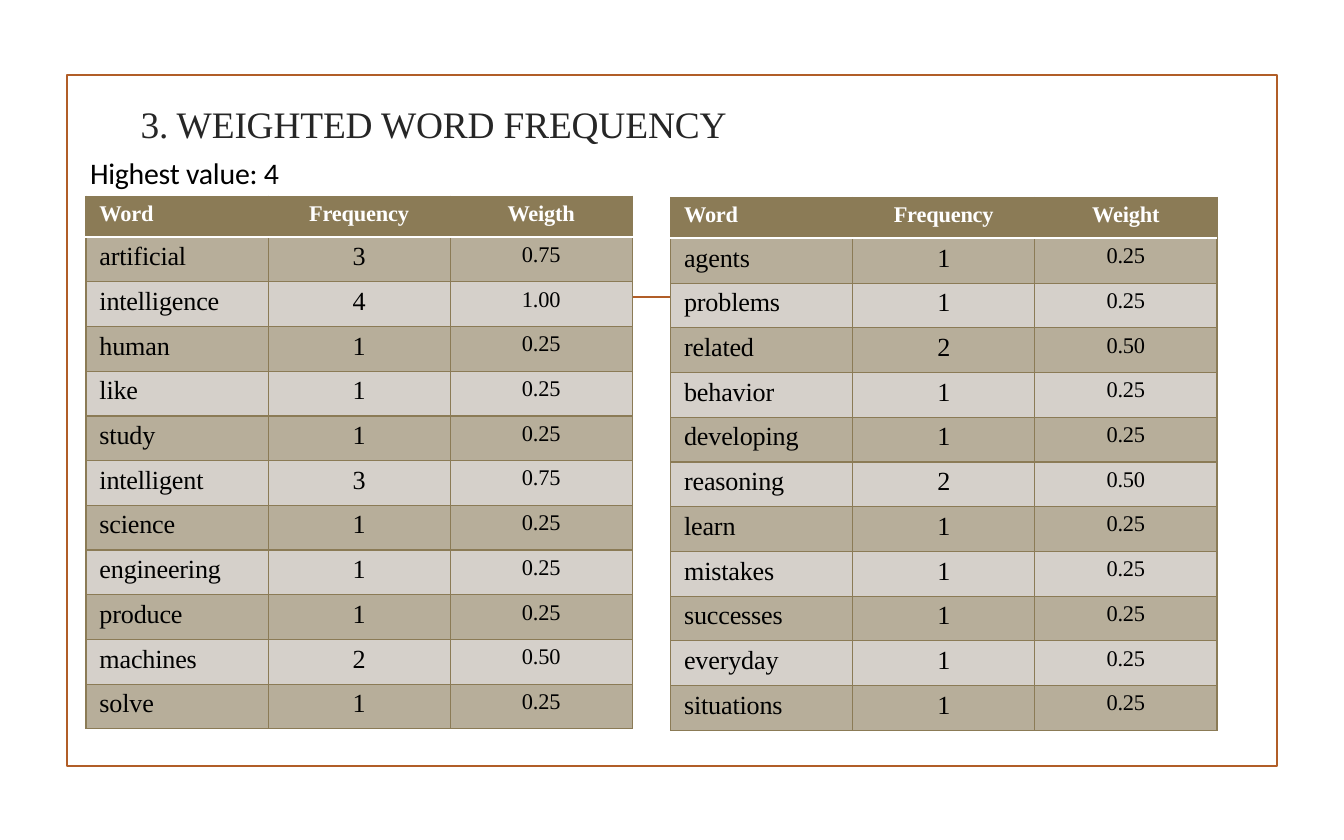
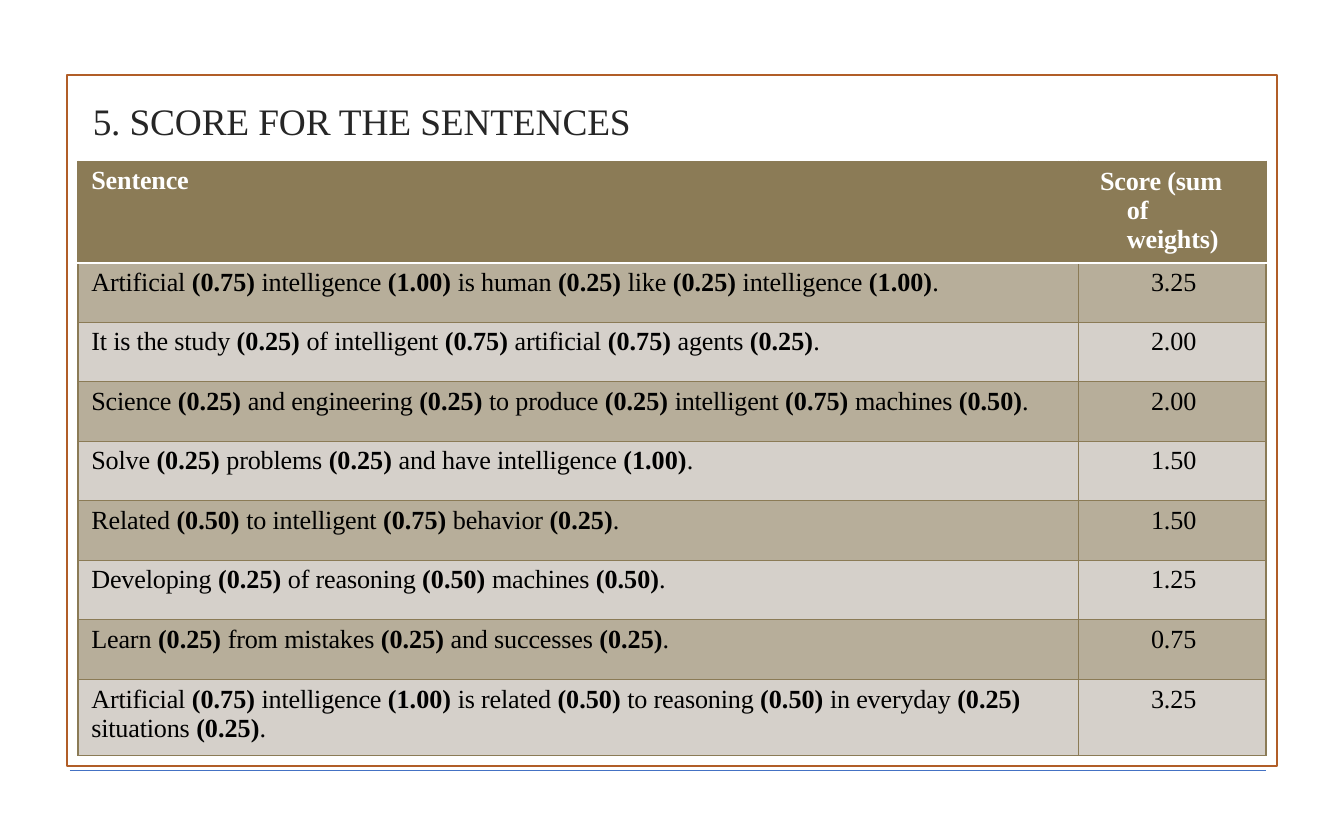
from dataclasses import dataclass
from typing import Any

import lxml.etree
import pptx
import pptx.dml.color
import pptx.enum.shapes
import pptx.enum.text
import pptx.oxml.ns
import pptx.util

ALIGN = pptx.enum.text.PP_ALIGN
ANCHOR = pptx.enum.text.MSO_ANCHOR


# Theme and grid
@dataclass(frozen=True)
class Theme:
    accent: str = "B15E28"
    header: str = "8B7B56"
    dark_band: str = "B7AE9A"
    light_band: str = "D5D0CA"
    white: str = "FFFFFF"
    black: str = "000000"
    title: str = "262626"
    rule: str = "4472C4"
    serif: str = "Times New Roman"
    sans: str = "Calibri"
    title_size: int = 20
    note_size: int = 16
    body_size: int = 14
    small_size: int = 12
    tracking: int = -10
    frame_line: float = 1.25
    cell_line: float = 0.75
    thin_line: float = 0.5


THEME = Theme()
SLIDE_WIDTH = pptx.util.Inches(10)
SLIDE_HEIGHT = pptx.util.Inches(6.25)
GRID_COLUMNS = 100  # square cells, so the slide is 62.5 rows high


def grid(cells: float) -> int:
    """Length of a number of grid cells."""
    return round(SLIDE_WIDTH * cells / GRID_COLUMNS)


# Descriptions of the repeated elements
@dataclass(frozen=True)
class Box:
    left: float
    top: float
    width: float
    height: float

    def lengths(self) -> list[int]:
        return [grid(n) for n in (self.left, self.top, self.width, self.height)]


@dataclass(frozen=True)
class TextStyle:
    size: int
    color: str = THEME.black
    font: str = THEME.serif
    bold: bool = False
    align: Any = ALIGN.LEFT
    margin: float = 0
    hanging: float = 0
    before: float = 2.6
    line: float = 1.0
    right_inset: float = 0


@dataclass(frozen=True)
class Column:
    width: float
    heading: str
    heading_style: TextStyle
    body_style: TextStyle


@dataclass(frozen=True)
class Table:
    left: float
    top: float
    columns: list[Column]
    row_heights: list[float]
    rows: list[tuple[str, str]]


# Drawing functions
def set_attributes(target: Any, values: dict[str, Any]) -> None:
    for name, value in values.items():
        setattr(target, name, value)


def rgb(color: str) -> pptx.dml.color.RGBColor:
    return pptx.dml.color.RGBColor.from_string(color)


def write_text(frame: Any, text: str, style: TextStyle) -> None:
    """Fill a text frame; asterisks enclose bold parts, newlines part paragraphs."""
    for number, line in enumerate(text.split("\n")):
        paragraph = frame.add_paragraph() if number else frame.paragraphs[0]
        set_attributes(paragraph, {
            "alignment": style.align,
            "line_spacing": style.line,
            "space_before": pptx.util.Pt(0.2 if number else style.before),
        })
        properties = paragraph._p.get_or_add_pPr()
        properties.set("marL", str(grid(style.margin)))
        properties.set("indent", str(grid(style.hanging)))
        for position, part in enumerate(line.split("*")):
            if not part:
                continue
            emphasis = position % 2 == 1
            run = paragraph.add_run()
            run.text = part
            set_attributes(run.font, {
                "name": style.font,
                "size": pptx.util.Pt(style.size),
                "bold": style.bold or emphasis,
            })
            run.font.color.rgb = rgb(style.color)
            run._r.get_or_add_rPr().set("spc", "0" if emphasis else str(THEME.tracking))


def add_text(slide: Any, box: Box, text: str, style: TextStyle, anchor: Any = ANCHOR.TOP) -> None:
    frame = slide.shapes.add_textbox(*box.lengths()).text_frame
    set_attributes(frame, {
        "word_wrap": True, "vertical_anchor": anchor, "margin_left": 0,
        "margin_top": grid(0.1), "margin_right": 0, "margin_bottom": 0,
    })
    write_text(frame, text, style)


def add_line(slide: Any, left: float, right: float, top: float, color: str, weight: float) -> None:
    connector = slide.shapes.add_connector(
        pptx.enum.shapes.MSO_CONNECTOR.STRAIGHT,
        grid(left), grid(top), grid(right), grid(top))
    connector.line.color.rgb = rgb(color)
    connector.line.width = pptx.util.Pt(weight)
    lxml.etree.SubElement(connector._element.spPr, pptx.oxml.ns.qn("a:effectLst"))


def set_borders(cell: Any, white_sides: str) -> None:
    """Outline a cell; the sides named in white_sides join header and body."""
    properties = cell._tc.get_or_add_tcPr()
    for position, side in enumerate("LRTB"):
        white = side in white_sides
        weight = THEME.frame_line if white else THEME.cell_line
        border = lxml.etree.Element(pptx.oxml.ns.qn(f"a:ln{side}"), w=str(pptx.util.Pt(weight)))
        fill = lxml.etree.SubElement(border, pptx.oxml.ns.qn("a:solidFill"))
        lxml.etree.SubElement(fill, pptx.oxml.ns.qn("a:srgbClr"),
                              val=THEME.white if white else THEME.header)
        properties.insert(position, border)


def add_cell(cell: Any, text: str, style: TextStyle, row: int) -> None:
    set_attributes(cell, {
        "margin_left": 0, "margin_top": grid(0.4),
        "margin_right": grid(style.right_inset), "margin_bottom": 0,
    })
    band = THEME.dark_band if row % 2 else THEME.light_band
    cell.fill.solid()
    cell.fill.fore_color.rgb = rgb(band if row else THEME.header)
    set_borders(cell, {0: "B", 1: "T"}.get(row, ""))
    write_text(cell.text_frame, text, style)


def add_table(slide: Any, table: Table) -> None:
    box = Box(table.left, table.top, sum(c.width for c in table.columns), sum(table.row_heights))
    grid_table = slide.shapes.add_table(
        len(table.row_heights), len(table.columns), *box.lengths()).table
    set_attributes(grid_table, {"first_row": False, "horz_banding": False})
    for row, height in enumerate(table.row_heights):
        grid_table.rows[row].height = grid(height)
    for index, column in enumerate(table.columns):
        grid_table.columns[index].width = grid(column.width)
        add_cell(grid_table.cell(0, index), column.heading, column.heading_style, 0)
        for row, values in enumerate(table.rows, start=1):
            add_cell(grid_table.cell(row, index), values[index], column.body_style, row)


def add_framed_slide(presentation: Any, title: str, title_box: Box) -> Any:
    """Start a slide with the shared frame, line and title."""
    slide = presentation.slides.add_slide(presentation.slide_layouts[6])
    frame = slide.shapes.add_shape(
        pptx.enum.shapes.MSO_SHAPE.RECTANGLE, *Box(5, 5.6, 90, 51.4).lengths())
    frame.shadow.inherit = False
    frame.fill.background()
    frame.line.color.rgb = rgb(THEME.accent)
    frame.line.width = pptx.util.Pt(THEME.frame_line)
    add_line(slide, 11.5, 88.6, 22.1, THEME.accent, THEME.frame_line)
    style = TextStyle(THEME.title_size, THEME.title, align=ALIGN.CENTER, margin=0.1, before=1)
    add_text(slide, title_box, title, style, ANCHOR.MIDDLE)
    return slide


# Slide 1: weighted word frequency
HIGHEST_FREQUENCY = 4
LEFT_WORDS = {
    "artificial": 3, "intelligence": 4, "human": 1, "like": 1, "study": 1, "intelligent": 3,
    "science": 1, "engineering": 1, "produce": 1, "machines": 2, "solve": 1,
}
RIGHT_WORDS = {
    "agents": 1, "problems": 1, "related": 2, "behavior": 1, "developing": 1, "reasoning": 2,
    "learn": 1, "mistakes": 1, "successes": 1, "everyday": 1, "situations": 1,
}


def word_table(left: float, top: float, weight_heading: str, words: dict[str, int]) -> Table:
    def column(heading: str, size: int, **layout: Any) -> Column:
        return Column(13.55, heading,
                      TextStyle(THEME.small_size, THEME.white, bold=True, **layout),
                      TextStyle(size, **layout))

    columns = [
        column("Word", THEME.body_size, margin=1),
        column("Frequency", THEME.body_size, align=ALIGN.CENTER),
        column(weight_heading, THEME.small_size, align=ALIGN.CENTER),
    ]
    rows = [(word, str(count), f"{count / HIGHEST_FREQUENCY:.2f}")
            for word, count in words.items()]
    return Table(left, top, columns, [3.04] + [3.33] * len(rows), rows)


def build_frequency_slide(presentation: Any) -> None:
    slide = add_framed_slide(presentation, "3. WEIGHTED WORD FREQUENCY", Box(-10, 7.4, 84.4, 3.5))
    add_table(slide, word_table(6.4, 14.6, "Weigth", LEFT_WORDS))
    add_table(slide, word_table(49.9, 14.7, "Weight", RIGHT_WORDS))
    add_text(slide, Box(6.6, 11.4, 18.2, 2.8), f"Highest value: {HIGHEST_FREQUENCY}",
             TextStyle(THEME.note_size, font=THEME.sans, margin=0.1, before=1))


# Slide 2: sentence scores
SENTENCE_SCORES = [
    ("Artificial *(0.75) *intelligence *(1.00) *is human *(0.25) *like *(0.25) *"
     "intelligence *(1.00)*.", "3.25"),
    ("It is the study *(0.25) *of intelligent *(0.75) *artificial *(0.75) *agents *(0.25)*.",
     "2.00"),
    ("Science *(0.25) *and engineering *(0.25) *to produce *(0.25) *intelligent *(0.75) *"
     "machines *(0.50)*.", "2.00"),
    ("Solve *(0.25) *problems *(0.25) *and have intelligence *(1.00)*.", "1.50"),
    ("Related *(0.50) *to intelligent *(0.75) *behavior *(0.25)*.", "1.50"),
    ("Developing *(0.25) *of reasoning *(0.50) *machines *(0.50)*.", "1.25"),
    ("Learn *(0.25) *from mistakes *(0.25) *and successes *(0.25)*.", "0.75"),
    ("Artificial *(0.75) *intelligence *(1.00) *is related *(0.50) *to reasoning *(0.50) *"
     "in everyday *(0.25)*\nsituations *(0.25)*.", "3.25"),
]


def build_score_slide(presentation: Any) -> None:
    slide = add_framed_slide(presentation, "5. SCORE FOR THE SENTENCES", Box(-6.7, 7.2, 67.1, 3.5))
    add_line(slide, 5.2, 94.2, 57.3, THEME.rule, THEME.thin_line)
    size = THEME.body_size
    columns = [
        Column(74.45, "Sentence", TextStyle(size, THEME.white, bold=True, margin=1),
               TextStyle(size, margin=1)),
        Column(13.95, "Score (sum of weights)",
               TextStyle(size, THEME.white, bold=True, margin=3.6, hanging=-2, before=2.3,
                         line=1.01, right_inset=2.5),
               TextStyle(size, margin=5.4)),
    ]
    heights = [7.55] + [4.43] * (len(SENTENCE_SCORES) - 1) + [5.65]
    add_table(slide, Table(5.8, 12, columns, heights, SENTENCE_SCORES))


def main() -> None:
    presentation = pptx.Presentation()
    set_attributes(presentation, {"slide_width": SLIDE_WIDTH, "slide_height": SLIDE_HEIGHT})
    build_frequency_slide(presentation)
    build_score_slide(presentation)
    presentation.save("out.pptx")


if __name__ == "__main__":
    main()
